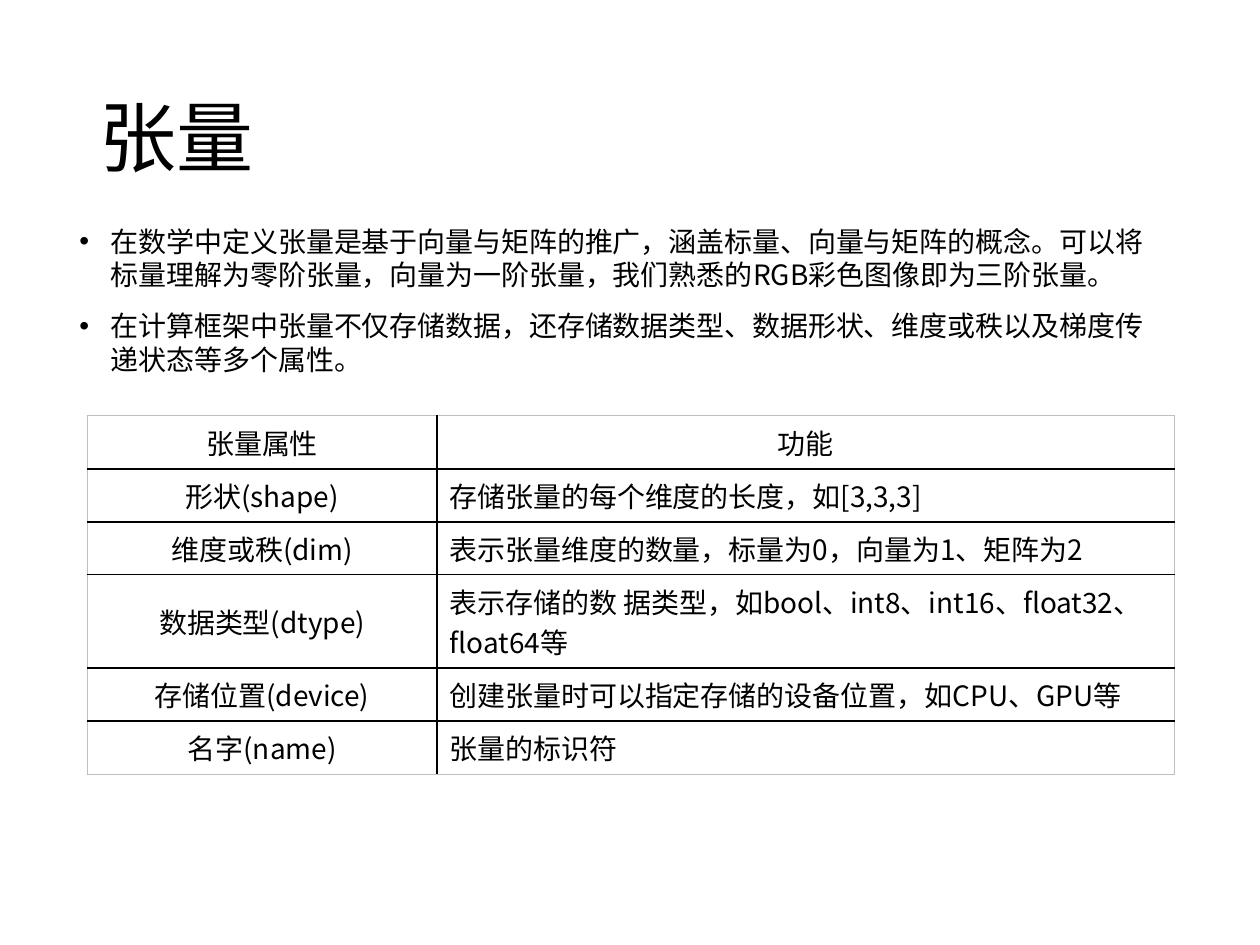
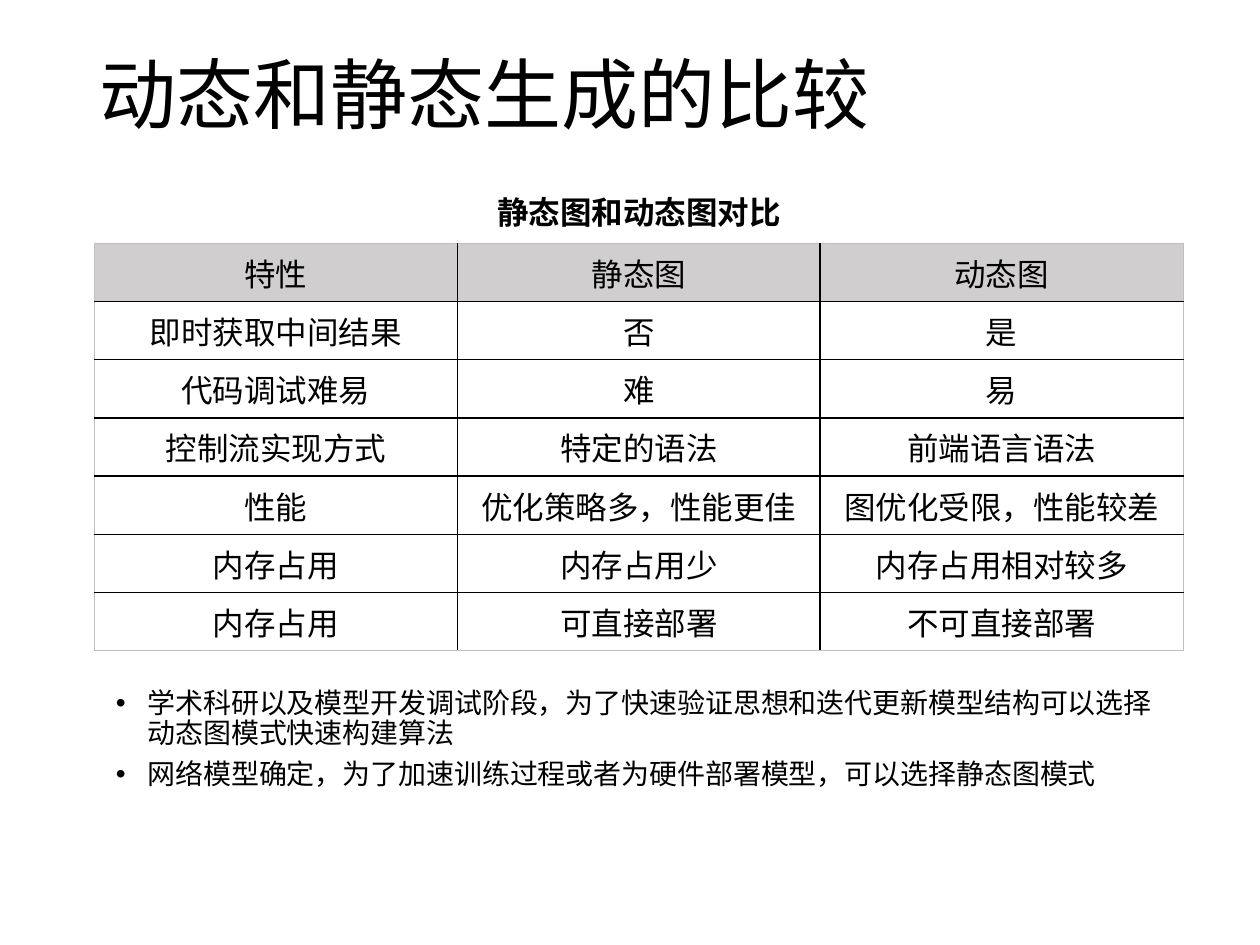
from dataclasses import dataclass

from lxml import etree
from pptx import Presentation
from pptx.dml.color import RGBColor
from pptx.enum.text import MSO_ANCHOR, MSO_AUTO_SIZE, PP_ALIGN
from pptx.oxml.ns import qn
from pptx.util import Inches, Pt

LEFT, CENTER = PP_ALIGN.LEFT, PP_ALIGN.CENTER
MIDDLE, TOP = MSO_ANCHOR.MIDDLE, MSO_ANCHOR.TOP
NO_AUTOFIT = MSO_AUTO_SIZE.NONE


@dataclass(frozen=True)
class Theme:
    font: str = "Noto Sans CJK SC"
    text: str = "000000"
    paper: str = "FFFFFF"
    header: str = "D0CECE"
    inner_line: str = "000000"
    outer_line: str = "BFBFBF"
    title_size: int = 44
    body_size: int = 16
    caption_size: int = 18


THEME = Theme()


def format_paragraph(paragraph, size, align=LEFT, bold=False):
    paragraph.alignment = align
    for run in paragraph.runs:
        run.font.size = Pt(size)
        run.font.bold = bold
        run.font.color.rgb = RGBColor.from_string(THEME.text)
        run.font.name = THEME.font
        east_asian = etree.SubElement(run.font._element, qn("a:ea"))
        east_asian.set("typeface", THEME.font)


def add_border(cell, side, is_outer):
    line = etree.SubElement(cell._tc.get_or_add_tcPr(), qn(f"a:ln{side}"))
    line.set("w", str(Pt(0.5 if is_outer else 1)))
    fill = etree.SubElement(line, qn("a:solidFill"))
    color = etree.SubElement(fill, qn("a:srgbClr"))
    color.set("val", THEME.outer_line if is_outer else THEME.inner_line)


# Content of the two slides
pages = [
    {
        "title": "张量",
        "title_top": 0.4,
        "points": [
            "在数学中定义张量是基于向量与矩阵的推广，涵盖标量、向量与矩阵的概念。可以将标量理解为零阶张量，向量为一阶张量，我们熟悉的RGB彩色图像即为三阶张量。",
            "在计算框架中张量不仅存储数据，还存储数据类型、数据形状、维度或秩以及梯度传递状态等多个属性。",
        ],
        "points_box": (0.53, 1.73, 8.78, 1.36),
        "line_spacing": 1.0,
        "point_gap": 10,
        "table_at": (0.69, 3.3),
        "columns": [2.78, 5.85],
        "column_aligns": [CENTER, LEFT],
        "table_size": THEME.body_size,
        "header_fill": THEME.paper,
        "rows": [
            ["张量属性", "功能"],
            ["形状(shape)", "存储张量的每个维度的长度，如[3,3,3]"],
            ["维度或秩(dim)", "表示张量维度的数量，标量为0，向量为1、矩阵为2"],
            ["数据类型(dtype)", "表示存储的数 据类型，如bool、int8、int16、float32、float64等"],
            ["存储位置(device)", "创建张量时可以指定存储的设备位置，如CPU、GPU等"],
            ["名字(name)", "张量的标识符"],
        ],
    },
    {
        "title": "动态和静态生成的比较",
        "title_top": 0.06,
        "points": [
            "学术科研以及模型开发调试阶段，为了快速验证思想和迭代更新模型结构可以选择动态图模式快速构建算法",
            "网络模型确定，为了加速训练过程或者为硬件部署模型，可以选择静态图模式",
        ],
        "points_box": (0.82, 5.42, 8.62, 0.91),
        "line_spacing": 0.9,
        "point_gap": 6,
        "table_at": (0.75, 1.93),
        "columns": [2.88] * 3,
        "column_aligns": [CENTER] * 3,
        "table_size": THEME.caption_size,
        "header_fill": THEME.header,
        "caption": "静态图和动态图对比",
        "rows": [
            ["特性", "静态图", "动态图"],
            ["即时获取中间结果", "否", "是"],
            ["代码调试难易", "难", "易"],
            ["控制流实现方式", "特定的语法", "前端语言语法"],
            ["性能", "优化策略多，性能更佳", "图优化受限，性能较差"],
            ["内存占用", "内存占用少", "内存占用相对较多"],
            ["内存占用", "可直接部署", "不可直接部署"],
        ],
    },
]

deck = Presentation()
deck.slide_width, deck.slide_height = Inches(10), Inches(7.5)

for page in pages:
    slide = deck.slides.add_slide(deck.slide_layouts[1])

    # Title
    title = slide.shapes.title
    title.left, title.top = Inches(0.69), Inches(page["title_top"])
    title.width, title.height = Inches(8.62), Inches(1.45)
    title.text_frame.text = page["title"]
    title.text_frame.auto_size = NO_AUTOFIT
    title.text_frame.vertical_anchor = MIDDLE
    heading = title.text_frame.paragraphs[0]
    heading.line_spacing = 0.9
    format_paragraph(heading, THEME.title_size)

    # Bullet points
    points = slide.placeholders[1]
    points.left, points.top, points.width, points.height = map(Inches, page["points_box"])
    points.text_frame.text = "\n".join(page["points"])
    points.text_frame.auto_size = NO_AUTOFIT
    points.text_frame.vertical_anchor = TOP
    for number, point in enumerate(points.text_frame.paragraphs):
        properties = point._p.get_or_add_pPr()
        properties.set("marL", str(Inches(0.25)))
        properties.set("indent", str(Inches(-0.25)))
        point.line_spacing = page["line_spacing"]
        point.space_before = Pt(page["point_gap"] if number else 0)
        format_paragraph(point, THEME.body_size)

    # Table
    rows, columns = page["rows"], page["columns"]
    left, top = page["table_at"]
    table = slide.shapes.add_table(
        len(rows), len(columns), Inches(left), Inches(top),
        Inches(sum(columns)), Inches(0.4 * len(rows)),
    ).table
    table.first_row = table.horz_banding = False
    for column, width in zip(table.columns, columns):
        column.width = Inches(width)
    for r, row in enumerate(rows):
        table.rows[r].height = Inches(0.4)
        for c, words in enumerate(row):
            cell = table.cell(r, c)
            cell.text_frame.text = words
            cell.vertical_anchor = MIDDLE
            align = page["column_aligns"][c] if r else CENTER
            format_paragraph(cell.text_frame.paragraphs[0], page["table_size"], align)
            add_border(cell, "L", c == 0)
            add_border(cell, "R", c == len(columns) - 1)
            add_border(cell, "T", r == 0)
            add_border(cell, "B", r == len(rows) - 1)
            cell.fill.solid()
            cell.fill.fore_color.rgb = RGBColor.from_string(
                THEME.paper if r else page["header_fill"])

    # Table caption
    if "caption" in page:
        caption = slide.shapes.add_textbox(
            Inches(3.85), Inches(1.48), Inches(2.56), Inches(0.4)).text_frame
        caption.word_wrap = True
        caption.text = page["caption"]
        format_paragraph(caption.paragraphs[0], THEME.caption_size, bold=True)

deck.save("out.pptx")
